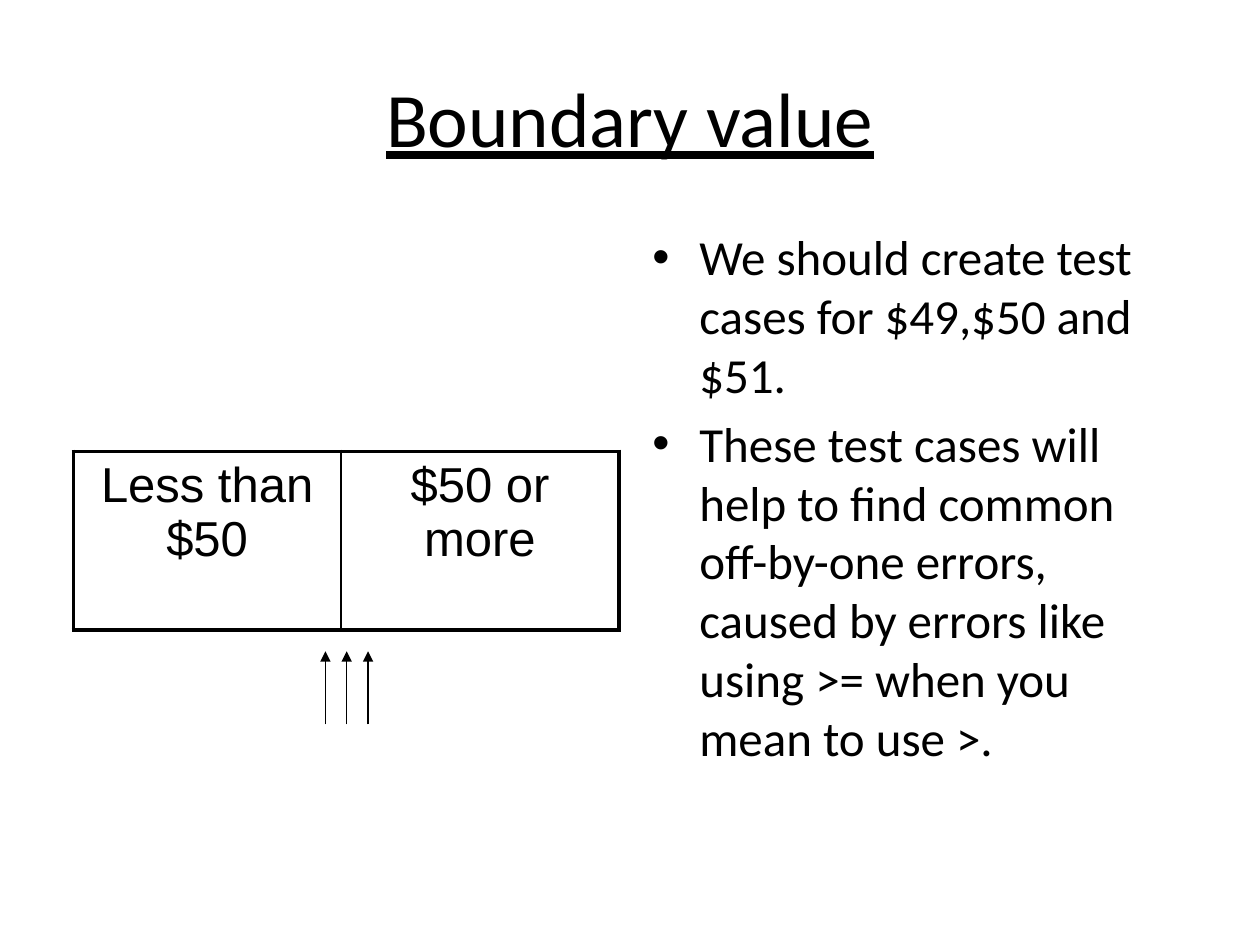
import pptx
import pptx.util
import pptx.dml.color
import pptx.enum.shapes
import pptx.enum.text
import pptx.oxml.ns
import lxml.etree

Cm = pptx.util.Cm
Pt = pptx.util.Pt
ALIGN = pptx.enum.text.PP_ALIGN
ANCHOR = pptx.enum.text.MSO_ANCHOR
COLORS = {"ink": "000000", "paper": "FFFFFF"}


def add_xml(parent, tag, **attrs):
    return lxml.etree.SubElement(parent, pptx.oxml.ns.qn(tag), attrs)


def write(p, text, size=28, font="Calibri", align=ALIGN.LEFT, underline=False, before=0, bullet=None):
    p.alignment = align
    p.space_before = Pt(before)
    if bullet:
        pPr = p._p.get_or_add_pPr()
        pPr.set("marL", str(Cm(0.95)))
        pPr.set("indent", str(-Cm(0.95)))
        add_xml(pPr, "a:buFont", typeface="Arial")
        add_xml(pPr, "a:buChar", char=bullet)
    r = p.add_run()
    r.text = text
    r.font.size = Pt(size)
    r.font.name = font
    r.font.underline = underline
    r.font.color.rgb = pptx.dml.color.RGBColor.from_string(COLORS["ink"])


prs = pptx.Presentation()
prs.slide_width, prs.slide_height = Cm(25.4), Cm(19.05)
s = prs.slides.add_slide(prs.slide_layouts[5])
s.background.fill.solid()
s.background.fill.fore_color.rgb = pptx.dml.color.RGBColor.from_string(COLORS["paper"])

title = s.shapes.title
title.left, title.top, title.width, title.height = Cm(1.27), Cm(0.76), Cm(22.86), Cm(3.18)
title.text_frame.vertical_anchor = ANCHOR.MIDDLE
write(title.text_frame.paragraphs[0], "Boundary value", size=44, align=ALIGN.CENTER, underline=True)

body = s.shapes.add_textbox(Cm(12.9), Cm(4.45), Cm(11.23), Cm(12.57))
tf = body.text_frame
tf.word_wrap = True
points = [
    "We should create test cases for $49,$50 and $51.",
    "These test cases will help to find common off-by-one errors, "
    "caused by errors like using >= when you mean to use >.",
]
for i, text in enumerate(points):
    p = tf.add_paragraph() if i else tf.paragraphs[0]
    write(p, text, before=5.6, bullet="•")

frame = s.shapes.add_table(1, 2, Cm(1.48), Cm(9.1), Cm(11), Cm(3.6))
table = frame.table
columns = [
    ("Less than $50", 5.39, {"L": 2.25, "R": 1, "T": 2.25, "B": 2.25}),
    ("$50 or more", 5.61, {"L": 1, "R": 2.25, "T": 2.25, "B": 2.25}),
]
for i, (text, width, borders) in enumerate(columns):
    table.columns[i].width = Cm(width)
    cell = table.cell(0, i)
    write(cell.text_frame.paragraphs[0], text, font="Arial", align=ALIGN.CENTER, before=5.6)
    tcPr = cell._tc.get_or_add_tcPr()
    for side, weight in borders.items():
        ln = add_xml(tcPr, "a:ln" + side, w=str(Pt(weight)))
        add_xml(add_xml(ln, "a:solidFill"), "a:srgbClr", val=COLORS["ink"])
    cell.fill.background()

for i in range(3):
    x = Cm(6.56 + 0.43 * i)
    arrow = s.shapes.add_connector(pptx.enum.shapes.MSO_CONNECTOR.STRAIGHT, x, Cm(14.6), x, Cm(13.13))
    arrow.line.width = Pt(0.75)
    arrow.line.color.rgb = pptx.dml.color.RGBColor.from_string(COLORS["ink"])
    add_xml(arrow.line._get_or_add_ln(), "a:tailEnd", type="triangle")
    add_xml(arrow._element.spPr, "a:effectLst")

prs.save("out.pptx")
